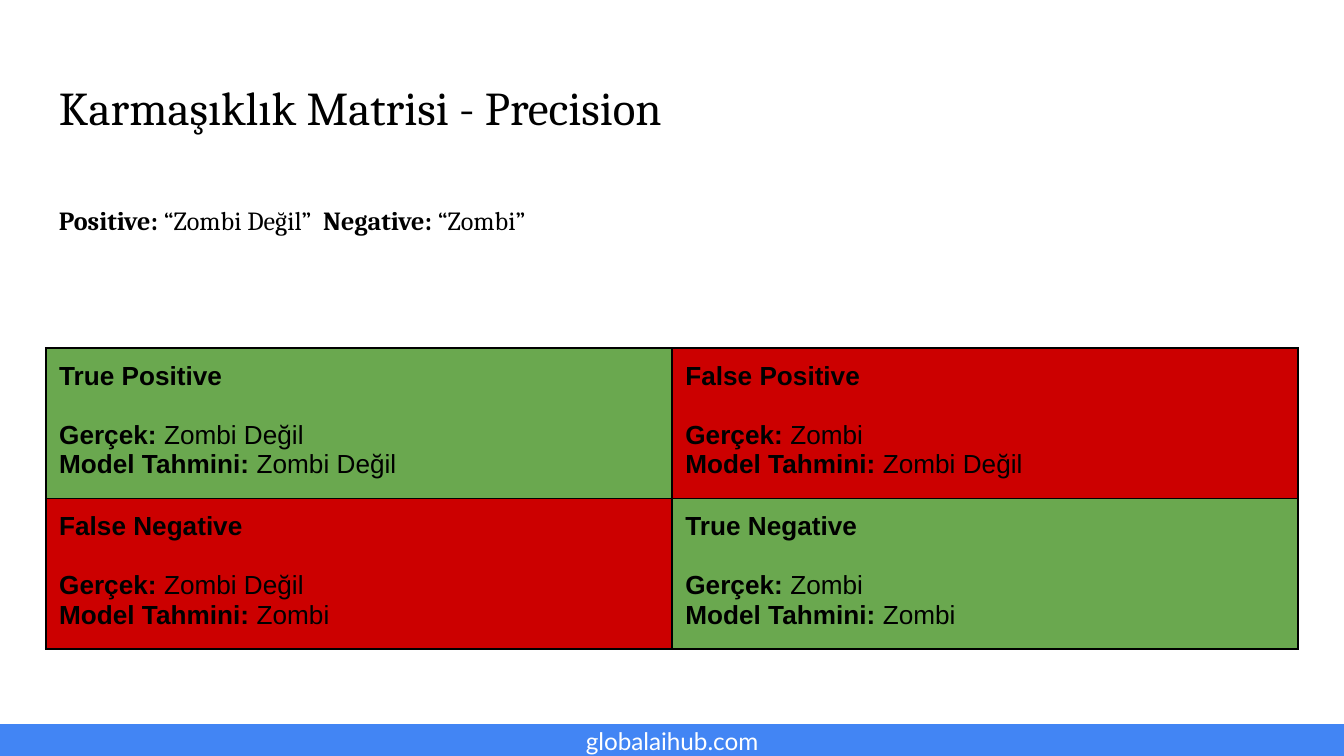
from lxml import etree
from pptx import Presentation
from pptx.dml.color import RGBColor
from pptx.enum import shapes, text
from pptx.oxml.ns import qn
from pptx.util import Pt

GREEN, RED, BLUE, BLACK, WHITE = "6AA84F", "CC0000", "4285F4", "000000", "FFFFFF"
W, H, MARGIN, INSET = 720, 405, 24.5, 7.2
TITLE = {"name": "Cambria", "size": Pt(25.2), "bold": False}
BODY = {"name": "Cambria", "size": Pt(14)}
CELL = {"name": "Arial", "size": Pt(14)}
FOOTER = {"name": "Lato", "size": Pt(13), "bold": False}
INSETS = {f"margin_{side}": Pt(INSET) for side in ("left", "top", "right", "bottom")}
MATRIX = [
    [("True Positive", "Zombi Değil", "Zombi Değil", GREEN),
     ("False Positive", "Zombi", "Zombi Değil", RED)],
    [("False Negative", "Zombi Değil", "Zombi", RED),
     ("True Negative", "Zombi", "Zombi", GREEN)],
]


def rgb(value):
    """Turn a hex string into a colour."""
    return RGBColor.from_string(value)


def apply(target, values):
    """Set each attribute in values on target."""
    for name, value in values.items():
        setattr(target, name, value)


def fill(target, color):
    """Give a shape or cell a solid fill."""
    target.fill.solid()
    target.fill.fore_color.rgb = rgb(color)


def add_runs(p, runs, font, color=BLACK):
    """Add (wording, bold) runs to a paragraph."""
    for wording, bold in runs:
        r = p.add_run()
        r.text = wording
        apply(r.font, {**font, "bold": bold})
        r.font.color.rgb = rgb(color)


def add_text(s, box, runs, font, color=BLACK, anchor=text.MSO_ANCHOR.TOP, **layout):
    """Place one paragraph in a wrapped text box."""
    tf = s.shapes.add_textbox(*map(Pt, box)).text_frame
    apply(tf, {**INSETS, "word_wrap": True, "vertical_anchor": anchor})
    p = tf.paragraphs[0]
    apply(p, layout)
    add_runs(p, runs, font, color)


def add_header(s, x, y, w):
    """Place the title and the class legend below it."""
    add_text(s, (x, y, w, 45), [("Karmaşıklık Matrisi - Precision", False)], TITLE)
    legend = [("Positive:", True), (" “Zombi Değil”  ", False),
              ("Negative:", True), (" “Zombi”", False)]
    add_text(s, (x, y + 65, w, 80), legend, BODY, line_spacing=1.15, space_after=Pt(12))


def add_borders(cell):
    """Draw a black line on all four sides of a cell."""
    pr = cell._tc.get_or_add_tcPr()
    for i, side in enumerate(("lnL", "lnR", "lnT", "lnB")):
        ln = etree.Element(qn(f"a:{side}"), w=str(Pt(1)))
        solid = etree.SubElement(ln, qn("a:solidFill"))
        etree.SubElement(solid, qn("a:srgbClr"), val=BLACK)
        pr.insert(i, ln)


def fill_cell(cell, name, actual, predicted, color):
    """Write one outcome of the matrix."""
    apply(cell, INSETS)
    fill(cell, color)
    add_borders(cell)
    tf = cell.text_frame
    add_runs(tf.paragraphs[0], [(name, True)], CELL)
    for label, value, gap in (("Gerçek:", actual, 15.8), ("Model Tahmini:", predicted, 0)):
        p = tf.add_paragraph()
        p.space_before = Pt(gap)
        add_runs(p, [(label, True), (f" {value}", False)], CELL)


def add_matrix(s, x, y, w, h):
    """Place the confusion matrix as a table."""
    rows, cols = len(MATRIX), len(MATRIX[0])
    table = s.shapes.add_table(rows, cols, Pt(x), Pt(y), Pt(w), Pt(h)).table
    apply(table, {"first_row": False, "horz_banding": False})
    for r, outcomes in enumerate(MATRIX):
        for c, outcome in enumerate(outcomes):
            fill_cell(table.cell(r, c), *outcome)


def add_footer(s, x, y, w, h):
    """Place the bar with the centred web address."""
    sp = s.shapes.add_shape(shapes.MSO_SHAPE.RECTANGLE, Pt(x), Pt(y), Pt(w), Pt(h))
    sp.shadow.inherit = False
    fill(sp, BLUE)
    sp.line.fill.background()
    box_w, box_h = 304, 31.6
    box = (x + (w - box_w) / 2, y - 7.2, box_w, box_h)
    add_text(s, box, [("globalaihub.com", False)], FOOTER, WHITE,
             text.MSO_ANCHOR.MIDDLE, alignment=text.PP_ALIGN.CENTER)


def main():
    """Build and save the slide."""
    prs = Presentation()
    apply(prs, {"slide_width": Pt(W), "slide_height": Pt(H)})
    s = prs.slides.add_slide(prs.slide_layouts[6])
    add_footer(s, 0, 388, W, 17)
    add_header(s, MARGIN, 35, W - 2 * MARGIN)
    add_matrix(s, MARGIN, 186.5, W - 2 * MARGIN, 154.4)
    prs.save("out.pptx")


if __name__ == "__main__":
    main()
